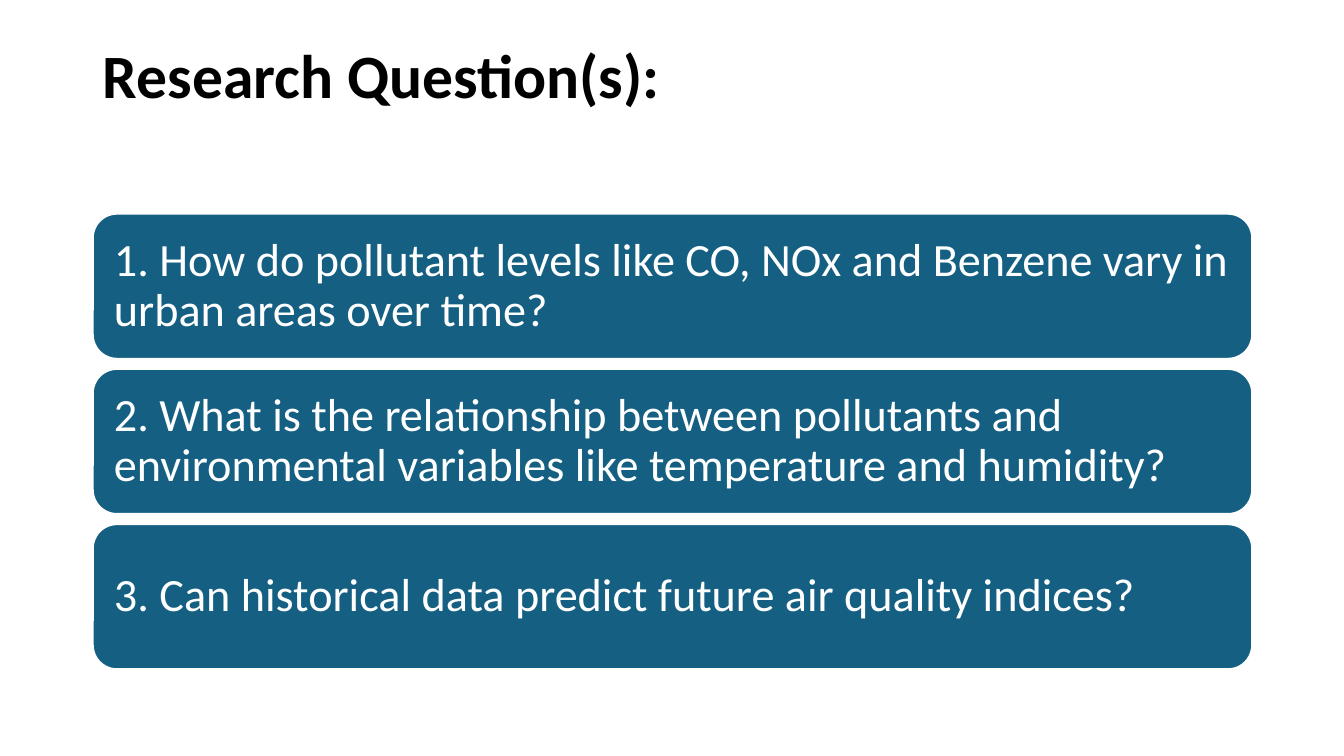
from dataclasses import dataclass

from pptx import Presentation
from pptx.dml.color import RGBColor
from pptx.enum.shapes import MSO_SHAPE
from pptx.enum.text import MSO_ANCHOR, MSO_AUTO_SIZE, PP_ALIGN
from pptx.util import Inches, Pt


@dataclass(frozen=True)
class Theme:
    font: str = "Calibri"
    ink: RGBColor = RGBColor(0x00, 0x00, 0x00)
    paper: RGBColor = RGBColor(0xFF, 0xFF, 0xFF)
    panel: RGBColor = RGBColor(0x15, 0x60, 0x82)
    title_size: int = 44
    question_size: int = 33
    line_spacing: float = 0.9


def write_text(frame, text, *, font, size, color, line_spacing,
               bold=False, anchor=MSO_ANCHOR.MIDDLE, inset=None):
    frame.word_wrap = True
    frame.auto_size = MSO_AUTO_SIZE.NONE
    frame.vertical_anchor = anchor
    if inset is not None:
        frame.margin_left = frame.margin_right = Inches(inset)
        frame.margin_top = frame.margin_bottom = Inches(inset)
    paragraph = frame.paragraphs[0]
    paragraph.alignment = PP_ALIGN.LEFT
    paragraph.line_spacing = line_spacing
    run = paragraph.add_run()
    run.text = text
    run.font.name = font
    run.font.size = Pt(size)
    run.font.bold = bold
    run.font.color.rgb = color


class SlideBuilder:
    def __init__(self, slide, theme):
        self.slide = slide
        self.theme = theme

    def title(self, text, left, top, width, height):
        heading = self.slide.shapes.title
        heading.left, heading.top = Inches(left), Inches(top)
        heading.width, heading.height = Inches(width), Inches(height)
        write_text(heading.text_frame, text, font=self.theme.font,
                   size=self.theme.title_size, color=self.theme.ink, bold=True,
                   line_spacing=self.theme.line_spacing, anchor=MSO_ANCHOR.TOP)

    def question(self, text, left, top, width, height):
        panel = self.slide.shapes.add_shape(
            MSO_SHAPE.ROUNDED_RECTANGLE,
            Inches(left), Inches(top), Inches(width), Inches(height))
        panel.shadow.inherit = False
        panel.fill.solid()
        panel.fill.fore_color.rgb = self.theme.panel
        panel.line.color.rgb = self.theme.paper
        panel.line.width = Pt(1.5)
        write_text(panel.text_frame, text, font=self.theme.font,
                   size=self.theme.question_size, color=self.theme.paper,
                   line_spacing=self.theme.line_spacing, inset=0.14)


QUESTIONS = [
    "1. How do pollutant levels like CO, NOx and Benzene vary in urban areas over time?",
    "2. What is the relationship between pollutants and environmental variables "
    "like temperature and humidity?",
    "3. Can historical data predict future air quality indices?",
]
LEFT, WIDTH = 0.92, 11.5
FIRST_TOP, PANEL_HEIGHT, GAP = 2.12, 1.44, 0.1


def main():
    presentation = Presentation()
    presentation.slide_width = Inches(13.33)
    presentation.slide_height = Inches(7.5)
    title_only = presentation.slide_layouts[5]
    builder = SlideBuilder(presentation.slides.add_slide(title_only), Theme())

    # Heading
    builder.title("Research Question(s):", LEFT, 0.4, WIDTH, 1.45)

    # Stacked question panels
    for index, question in enumerate(QUESTIONS):
        top = FIRST_TOP + index * (PANEL_HEIGHT + GAP)
        builder.question(question, LEFT, top, WIDTH, PANEL_HEIGHT)

    presentation.save("out.pptx")


if __name__ == "__main__":
    main()
